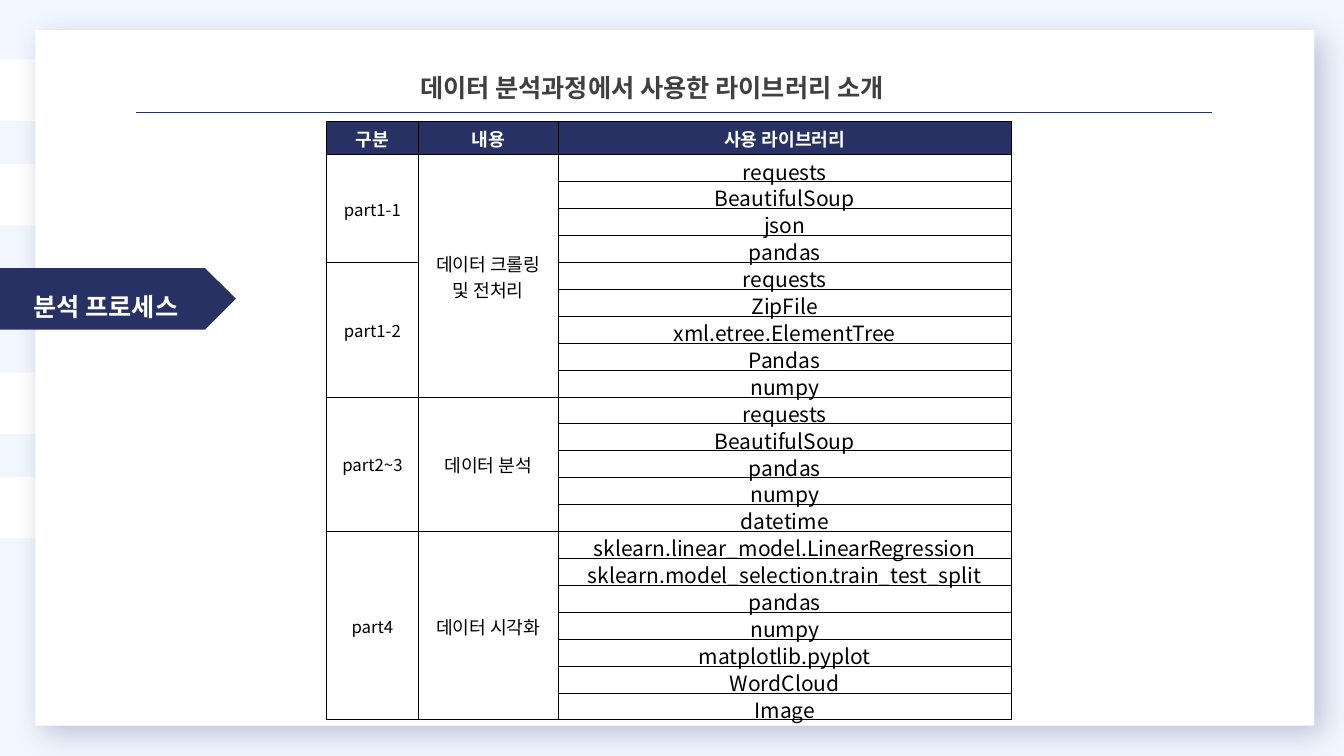
from dataclasses import dataclass

from lxml import etree
from pptx import Presentation
from pptx.dml.color import RGBColor
from pptx.enum.shapes import MSO_CONNECTOR, MSO_SHAPE
from pptx.enum.text import MSO_ANCHOR, MSO_AUTO_SIZE, PP_ALIGN
from pptx.oxml.ns import qn
from pptx.util import Emu, Inches, Pt

PENTAGON, RECTANGLE = MSO_SHAPE.PENTAGON, MSO_SHAPE.RECTANGLE
STRAIGHT = MSO_CONNECTOR.STRAIGHT
CENTER, LEFT = PP_ALIGN.CENTER, PP_ALIGN.LEFT
MIDDLE = MSO_ANCHOR.MIDDLE
GROW = MSO_AUTO_SIZE.SHAPE_TO_FIT_TEXT
BLANK_LAYOUT = 6


@dataclass(frozen=True)
class Theme:
    font: str = "Noto Sans CJK KR"
    background: str = "F2F6FF"
    paper: str = "FFFFFF"
    navy: str = "273164"
    heading: str = "404040"
    ink: str = "000000"
    title_size: int = 18
    header_size: int = 13
    section_size: int = 12
    library_size: int = 15
    rule: float = 0.5


@dataclass(frozen=True)
class Area:
    """A place on the slide, in grid columns and rows."""
    column: float
    row: float
    columns: float
    rows: float

    def emu(self) -> tuple:
        return tuple(grid(n) for n in (self.column, self.row, self.columns, self.rows))


@dataclass(frozen=True)
class TextStyle:
    size: int
    color: str
    bold: bool = False
    align: int = CENTER


@dataclass(frozen=True)
class Section:
    name: str
    libraries: tuple


@dataclass(frozen=True)
class Stage:
    name: str
    sections: tuple


THEME = Theme()
GRID_STEP = Inches(0.1)
SLIDE_COLUMNS, SLIDE_ROWS = 133.33, 75
TAB_TOP, TAB_PITCH, TAB_COUNT, ACTIVE_TAB = 5.9, 10.35, 5, 2
TAB_HEIGHT = 6.1
TABLE_COLUMNS = (9.1, 13.85, 45)
HEADER_ROW, LIBRARY_ROW = 3.3, 2.67
HEADERS = ("구분", "내용", "사용 라이브러리")
STAGES = (
    Stage("데이터 크롤링\v및 전처리", (
        Section("part1-1", ("requests", "BeautifulSoup", "json", "pandas")),
        Section("part1-2", ("requests", "ZipFile", "xml.etree.ElementTree", "Pandas", "numpy")),
    )),
    Stage("데이터 분석", (
        Section("part2~3", ("requests", "BeautifulSoup", "pandas", "numpy", "datetime")),
    )),
    Stage("데이터 시각화", (
        Section("part4", ("sklearn.linear_model.LinearRegression",
                          "sklearn.model_selection.train_test_split",
                          "pandas", "numpy", "matplotlib.pyplot", "WordCloud", "Image")),
    )),
)


def grid(steps: float) -> Emu:
    return Emu(round(steps * GRID_STEP))


def set_values(target, values: dict) -> None:
    for name, value in values.items():
        setattr(target, name, value)


def add_child(parent, tag: str, **attributes):
    return etree.SubElement(parent, qn(tag), attributes)


def write(para, text: str, style: TextStyle) -> None:
    para.text = text
    para.alignment = style.align
    for span in para.runs:
        set_values(span.font, {"name": THEME.font, "size": Pt(style.size), "bold": style.bold})
        span.font.color.rgb = RGBColor.from_string(style.color)
        add_child(span.font._element, "a:ea", typeface=THEME.font)


def add_block(page, kind: int, area: Area, color: str):
    block = page.shapes.add_shape(kind, *area.emu())
    block.shadow.inherit = False
    block.fill.solid()
    block.fill.fore_color.rgb = RGBColor.from_string(color)
    block.line.fill.background()
    return block


def add_soft_shadow(block) -> None:
    effects = block._element.spPr.find(qn("a:effectLst"))
    shadow = add_child(effects, "a:outerShdw", blurRad=str(Pt(20)), dist=str(Pt(8)),
                       dir=str(45 * 60000), algn="tl", rotWithShape="0")
    color = add_child(shadow, "a:srgbClr", val=THEME.navy)
    add_child(color, "a:alpha", val="26000")


def add_text(page, area: Area, text: str, style: TextStyle):
    box = page.shapes.add_textbox(*area.emu())
    set_values(box.text_frame, {"word_wrap": True, "auto_size": GROW})
    para = box.text_frame.paragraphs[0]
    write(para, text, style)
    para.line_spacing = 1.5
    return para


def add_rule(page, left: float, right: float, row: float) -> None:
    rule = page.shapes.add_connector(STRAIGHT, grid(left), grid(row), grid(right), grid(row))
    rule.line.width = Pt(THEME.rule)
    rule.line.color.rgb = RGBColor.from_string(THEME.navy)
    add_child(rule._element.spPr, "a:effectLst")


def format_cell(cell, fill: str = "") -> None:
    """Set insets, thin borders on all sides, and a fill if one is given."""
    inset = Inches(0.01)
    set_values(cell, {"margin_left": inset, "margin_top": inset, "margin_right": inset,
                      "margin_bottom": 0, "vertical_anchor": MIDDLE})
    properties = cell._tc.get_or_add_tcPr()
    for side in ("a:lnL", "a:lnR", "a:lnT", "a:lnB"):
        border = add_child(properties, side, w=str(Pt(THEME.rule)))
        add_child(add_child(border, "a:solidFill"), "a:srgbClr", val=THEME.ink)
    if fill:
        cell.fill.solid()
        cell.fill.fore_color.rgb = RGBColor.from_string(fill)
    else:
        cell.fill.background()


def write_cell(cell, text: str, style: TextStyle) -> None:
    write(cell.text_frame.paragraphs[0], text, style)


def add_library_table(page) -> None:
    count = sum(len(section.libraries) for stage in STAGES for section in stage.sections)
    area = Area(32.4, 12.05, sum(TABLE_COLUMNS), HEADER_ROW + count * LIBRARY_ROW)
    table = page.shapes.add_table(count + 1, len(HEADERS), *area.emu()).table
    set_values(table, {"first_row": False, "horz_banding": False})
    for column, width in zip(table.columns, TABLE_COLUMNS):
        column.width = grid(width)
    for index, row in enumerate(table.rows):
        row.height = grid(LIBRARY_ROW if index else HEADER_ROW)
        for cell in row.cells:
            format_cell(cell, "" if index else THEME.navy)

    header = TextStyle(THEME.header_size, THEME.paper, bold=True)
    stage_style = TextStyle(THEME.header_size, THEME.ink)
    section_style = TextStyle(THEME.section_size, THEME.ink)
    library_style = TextStyle(THEME.library_size, THEME.ink)
    for index, title in enumerate(HEADERS):
        write_cell(table.cell(0, index), title, header)
    row = 1
    for stage in STAGES:
        stage_row = row
        for section in stage.sections:
            section_row = row
            for library in section.libraries:
                write_cell(table.cell(row, 2), library, library_style)
                row += 1
            table.cell(section_row, 0).merge(table.cell(row - 1, 0))
            write_cell(table.cell(section_row, 0), section.name, section_style)
        table.cell(stage_row, 1).merge(table.cell(row - 1, 1))
        write_cell(table.cell(stage_row, 1), stage.name, stage_style)


def main() -> None:
    deck = Presentation()
    set_values(deck, {"slide_width": grid(SLIDE_COLUMNS), "slide_height": grid(SLIDE_ROWS)})
    page = deck.slides.add_slide(deck.slide_layouts[BLANK_LAYOUT])
    page.background.fill.solid()
    page.background.fill.fore_color.rgb = RGBColor.from_string(THEME.background)

    tab_tops = [TAB_TOP + index * TAB_PITCH for index in range(TAB_COUNT)]
    active_top = tab_tops.pop(ACTIVE_TAB)
    for top in tab_tops:
        add_block(page, PENTAGON, Area(0, top, 32.1, TAB_HEIGHT), THEME.paper)
    add_soft_shadow(add_block(page, RECTANGLE, Area(3.5, 3, 126.9, 69), THEME.paper))
    add_block(page, PENTAGON, Area(0, active_top, 23.4, TAB_HEIGHT), THEME.navy)
    add_text(page, Area(-0.1, 26.9, 21.2, 5), "분석 프로세스",
             TextStyle(THEME.title_size, THEME.paper, bold=True))

    add_rule(page, 13.5, 120.2, 11.1)
    title = add_text(page, Area(35.7, 5.2, 62, 5), "데이터 분석과정에서 사용한 라이브러리 소개",
                     TextStyle(THEME.title_size, THEME.heading, bold=True, align=LEFT))
    title.level = 1
    title._p.get_or_add_pPr().set("marL", str(Inches(0.5)))
    add_library_table(page)
    deck.save("out.pptx")


if __name__ == "__main__":
    main()
